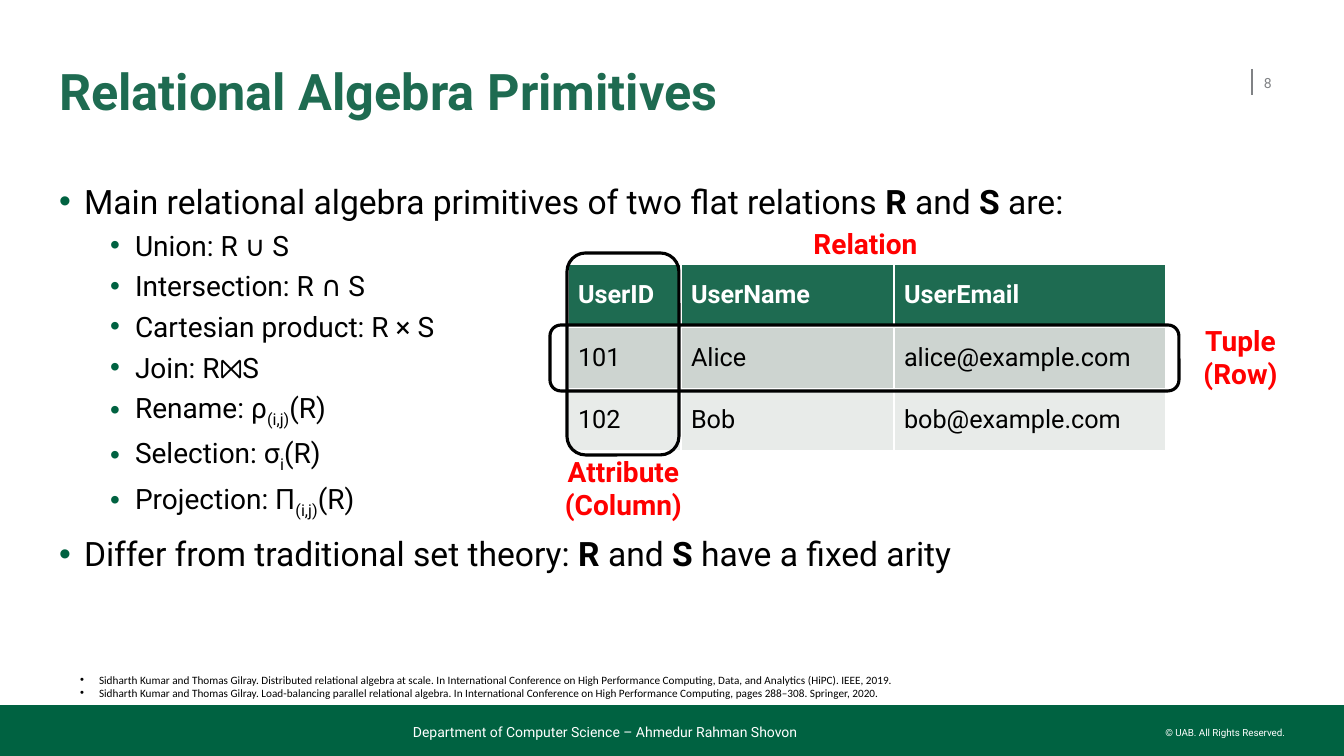
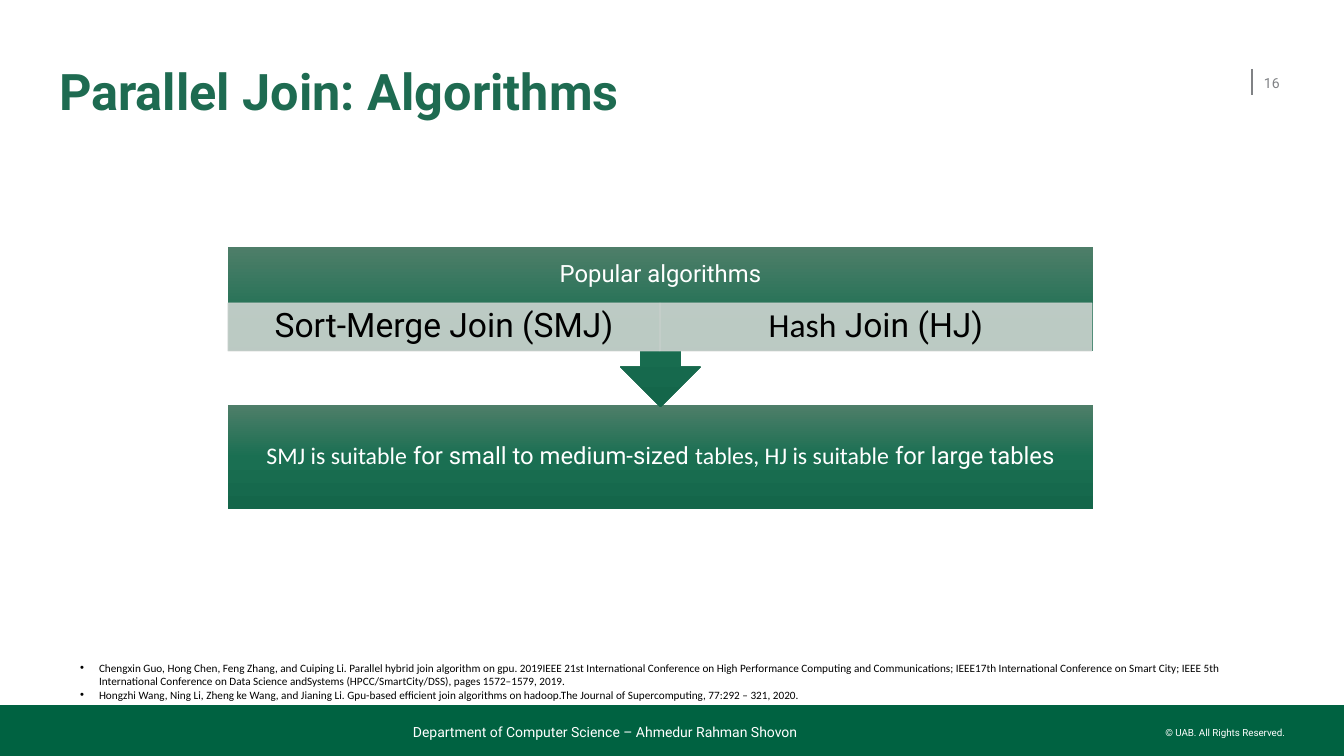
from copy import deepcopy
from dataclasses import dataclass

from lxml import etree
from pptx import Presentation
from pptx.dml.color import RGBColor
from pptx.enum.shapes import MSO_CONNECTOR, MSO_SHAPE
from pptx.enum.text import MSO_ANCHOR, MSO_AUTO_SIZE, PP_ALIGN
from pptx.oxml.ns import qn
from pptx.util import Pt

PX = 914400 / 100.8
LEFT, CENTER, RIGHT = PP_ALIGN.LEFT, PP_ALIGN.CENTER, PP_ALIGN.RIGHT
TOP, MIDDLE, BOTTOM = MSO_ANCHOR.TOP, MSO_ANCHOR.MIDDLE, MSO_ANCHOR.BOTTOM
RECTANGLE, ROUNDED = MSO_SHAPE.RECTANGLE, MSO_SHAPE.ROUNDED_RECTANGLE
DOWN_CALLOUT = MSO_SHAPE.DOWN_ARROW_CALLOUT
STRAIGHT = MSO_CONNECTOR.STRAIGHT


@dataclass(frozen=True)
class Theme:
    font: str = "Roboto"
    second_font: str = "Calibri"
    black: RGBColor = RGBColor(0, 0, 0)
    white: RGBColor = RGBColor(255, 255, 255)
    red: RGBColor = RGBColor(255, 0, 0)
    gray: RGBColor = RGBColor.from_string("808285")
    band: RGBColor = RGBColor.from_string("006241")
    green: RGBColor = RGBColor.from_string("1E6B51")
    pale: RGBColor = RGBColor.from_string("CDD4D0")
    paler: RGBColor = RGBColor.from_string("E8EBE9")
    gradient: tuple = ((0, "4E7E69"), (0.5, "1A6F52"), (1, "14664A"))
    title: int = 36
    body: int = 24
    sub_body: int = 20
    table: int = 18
    box: int = 17
    small: int = 10
    reference: int = 8
    copyright: int = 7


THEME = Theme()


def px(*lengths):
    return [round(length * PX) for length in lengths]


def write(frame, lines, size, color, align=LEFT, anchor=TOP, insets=(10, 5, 10, 5),
          bold=False, font=THEME.font, spacing=None, bullet=None):
    """Fill a frame; a line is a list of runs, each a string or a (string, mark) pair.

    The marks are "bold", "sub" and "second"; bullet is (indent in px, colour).
    """
    frame.word_wrap = True
    frame.auto_size = MSO_AUTO_SIZE.NONE
    frame.vertical_anchor = anchor
    (frame.margin_left, frame.margin_top,
     frame.margin_right, frame.margin_bottom) = px(*insets)
    for index, line in enumerate(lines):
        paragraph = frame.add_paragraph() if index else frame.paragraphs[0]
        paragraph.alignment = align
        if spacing:
            paragraph.line_spacing = spacing
        if bullet:
            indent, bullet_color = bullet
            properties = paragraph._p.get_or_add_pPr()
            properties.set("marL", str(px(indent)[0]))
            properties.set("indent", str(-px(indent)[0]))
            color_element = etree.SubElement(properties, qn("a:buClr"))
            etree.SubElement(color_element, qn("a:srgbClr"), val=str(bullet_color))
            etree.SubElement(properties, qn("a:buFont"), typeface="Arial")
            etree.SubElement(properties, qn("a:buChar"), char="•")
        for piece in [line] if isinstance(line, str) else line:
            text, mark = (piece, None) if isinstance(piece, str) else piece
            run = paragraph.add_run()
            run.text = text
            run.font.size = Pt(size)
            run.font.color.rgb = color
            run.font.bold = bold or mark == "bold"
            run.font.name = THEME.second_font if mark == "second" else font
            if mark == "sub":
                run.font._element.set("baseline", "-25000")


presentation = Presentation()
presentation.slide_width, presentation.slide_height = px(1344, 756)

# Title, page number, footer and references of each slide
pages = [
    (1, "Relational Algebra Primitives", "8", 668, [
        "Sidharth Kumar and Thomas Gilray. Distributed relational algebra at scale. "
        "In International Conference on High Performance Computing, Data, and Analytics "
        "(HiPC). IEEE, 2019.",
        "Sidharth Kumar and Thomas Gilray. Load-balancing parallel relational algebra. "
        "In International Conference on High Performance Computing, pages 288–308. "
        "Springer, 2020."]),
    (5, "Parallel Join: Algorithms", "16", 656, [
        "Chengxin Guo, Hong Chen, Feng Zhang, and Cuiping Li. Parallel hybrid join "
        "algorithm on gpu. 2019IEEE 21st International Conference on High Performance "
        "Computing and Communications; IEEE17th International Conference on Smart City; "
        "IEEE 5th International Conference on Data Science andSystems "
        "(HPCC/SmartCity/DSS), pages 1572–1579, 2019.",
        "Hongzhi Wang, Ning Li, Zheng ke Wang, and Jianing Li. Gpu-based efficient join "
        "algorithms on hadoop.The Journal of Supercomputing, 77:292 – 321, 2020."]),
]
for layout_index, title, number, references_top, references in pages:
    slide = presentation.slides.add_slide(presentation.slide_layouts[layout_index])
    heading = slide.shapes.title
    heading.left, heading.top, heading.width, heading.height = px(59, 52, 1172, 85)
    write(heading.text_frame, [title], THEME.title, THEME.green, anchor=MIDDLE,
          insets=(0, 0, 0, 0), bold=True, spacing=0.9)
    page_number = slide.shapes.add_textbox(*px(1264, 63, 33, 40))
    write(page_number.text_frame, [number], THEME.small, THEME.gray, anchor=MIDDLE,
          insets=(0, 5, 0, 5))
    footer = slide.shapes.add_textbox(*px(413, 717, 714, 23))
    write(footer.text_frame, ["Department of Computer Science – Ahmedur Rahman Shovon"],
          THEME.small, THEME.white, anchor=BOTTOM, insets=(0, 0, 0, 0))
    reference_box = slide.shapes.add_textbox(*px(70, references_top, 1194, 705 - references_top))
    write(reference_box.text_frame, references, THEME.reference, THEME.black,
          font=THEME.second_font, bullet=(19, THEME.black))

primitives_slide, join_slide = presentation.slides

# Band, number rule and copyright line, moved to the master
shapes = primitives_slide.shapes
number_rule = shapes.add_connector(STRAIGHT, *px(1252, 69, 1252, 95))
number_rule.line.color.rgb = THEME.gray
number_rule.line.width = Pt(1)
etree.SubElement(number_rule.element.spPr, qn("a:effectLst"))
band = shapes.add_shape(RECTANGLE, *px(0, 705, 1344, 51))
band.shadow.inherit = False
band.fill.solid()
band.fill.fore_color.rgb = THEME.band
band.line.fill.background()
copyright_box = shapes.add_textbox(*px(1135, 727, 150, 12))
write(copyright_box.text_frame, ["© UAB. All Rights Reserved."], THEME.copyright,
      THEME.white, align=RIGHT, insets=(0, 0, 0, 0))
for shape_id, shape in enumerate((number_rule, band, copyright_box), start=100):
    next(shape.element.iter(qn("p:cNvPr"))).set("id", str(shape_id))
    presentation.slide_master.shapes.element.append(shape.element)

# Relational algebra: list of primitives
body = primitives_slide.placeholders[1]
body.left, body.top, body.width, body.height = px(59, 181, 1226, 480)
operations = [
    ["Union: R ∪ S"],
    ["Intersection: R ∩ S"],
    ["Cartesian product: R × S"],
    ["Join: R⨝S"],
    ["Rename: ρ", ("(i,j)", "sub"), "(R)"],
    ["Selection: σ", ("i", "sub"), "(R)"],
    ["Projection: Π", ("(i,j)", "sub"), "(R)"],
]
relations = [("R", "bold"), " and ", ("S", "bold")]
write(body.text_frame,
      [["Main relational algebra primitives of two flat relations ", *relations, " are:"],
       *operations,
       ["Differ from traditional set theory: ", *relations, " have a fixed arity"]],
      THEME.body, THEME.black, insets=(0, 0, 0, 0), bullet=(25, THEME.band))
first, *sub_items, last = body.text_frame.paragraphs
first.space_before = Pt(0)
last.space_before = Pt(10)
for paragraph in sub_items:
    paragraph.level = 1
    paragraph.space_before = Pt(5)
    paragraph._p.get_or_add_pPr().set("marL", str(px(76)[0]))
    for run in paragraph.runs:
        run.font.size = Pt(THEME.sub_body)

# Relational algebra: example relation
rows = [
    ("UserID", "UserName", "UserEmail"),
    ("101", "Alice", "alice@example.com"),
    ("102", "Bob", "bob@example.com"),
]
row_fills = (THEME.green, THEME.pale, THEME.paler)
table = shapes.add_table(3, 3, *px(568, 264, 598, 187)).table
for column, width in zip(table.columns, px(113, 213, 272)):
    column.width = width
for row_index, (values, row_fill) in enumerate(zip(rows, row_fills)):
    is_header = row_index == 0
    for column_index, value in enumerate(values):
        cell = table.cell(row_index, column_index)
        cell.vertical_anchor = MIDDLE
        cell.text_frame.text = value
        font = cell.text_frame.paragraphs[0].runs[0].font
        font.name, font.size, font.bold = THEME.font, Pt(THEME.table), is_header
        font.color.rgb = THEME.white if is_header else THEME.black
        properties = cell._tc.get_or_add_tcPr()
        for side in "LRTB":
            thick = (row_index, side) in ((0, "B"), (1, "T"))
            border = etree.SubElement(properties, qn(f"a:ln{side}"), w=str(Pt(3 if thick else 1)))
            solid = etree.SubElement(border, qn("a:solidFill"))
            etree.SubElement(solid, qn("a:srgbClr"), val=str(THEME.white))
        cell.fill.solid()
        cell.fill.fore_color.rgb = row_fill

for position in ((567, 253, 112, 202), (550, 325, 629, 66)):
    outline = shapes.add_shape(ROUNDED, *px(*position))
    outline.shadow.inherit = False
    outline.fill.background()
    outline.line.color.rgb = THEME.black
    outline.line.width = Pt(2.25)

labels = [
    (["Relation"], (568, 221, 595, 44)),
    (["Attribute", "(Column)"], (505, 449, 237, 78)),
    (["Tuple", "(Row)"], (1156, 318, 169, 78)),
]
for lines, position in labels:
    label = shapes.add_textbox(*px(*position))
    write(label.text_frame, lines, THEME.sub_body, THEME.red, align=CENTER, bold=True)

# Parallel join: conclusion below, callout with two algorithms above
shapes = join_slide.shapes
conclusion = [("SMJ is suitable", "second"), " for small to medium-sized ",
              ("tables, HJ is suitable", "second"), " for large tables"]
boxes = [
    (RECTANGLE, (228, 405, 865, 104), conclusion, 13),
    (DOWN_CALLOUT, (228, 247, 865, 160), "Popular algorithms", 61),
]
for kind, position, line, bottom_inset in boxes:
    box = shapes.add_shape(kind, *px(*position))
    box.shadow.inherit = False
    box.line.fill.background()
    box.fill.gradient()
    box.fill.gradient_angle = 270
    stop_list = next(box.element.spPr.iter(qn("a:gsLst")))
    stop_list.insert(1, deepcopy(stop_list[0]))
    for stop, (offset, color) in zip(box.fill.gradient_stops, THEME.gradient):
        stop.position = offset
        stop.color.rgb = RGBColor.from_string(color)
    write(box.text_frame, [line], THEME.box, THEME.white, align=CENTER, anchor=MIDDLE,
          insets=(13, 13, 13, bottom_inset), spacing=0.9)

algorithms = ["Sort-Merge Join (SMJ)", [("Hash", "second"), " Join (HJ)"]]
algorithm_width = 432
for index, line in enumerate(algorithms):
    algorithm = shapes.add_shape(
        RECTANGLE, *px(228 + index * algorithm_width, 303, algorithm_width, 48))
    algorithm.shadow.inherit = False
    algorithm.fill.solid()
    algorithm.fill.fore_color.rgb = THEME.pale
    algorithm.line.color.rgb = THEME.pale
    algorithm.line.width = Pt(0.5)
    for color_element in algorithm.element.spPr.iter(qn("a:srgbClr")):
        etree.SubElement(color_element, qn("a:alpha"), val="90000")
    write(algorithm.text_frame, [line], THEME.body, THEME.black, align=CENTER,
          anchor=MIDDLE, insets=(19, 3, 19, 3), spacing=0.9)

presentation.save("out.pptx")
